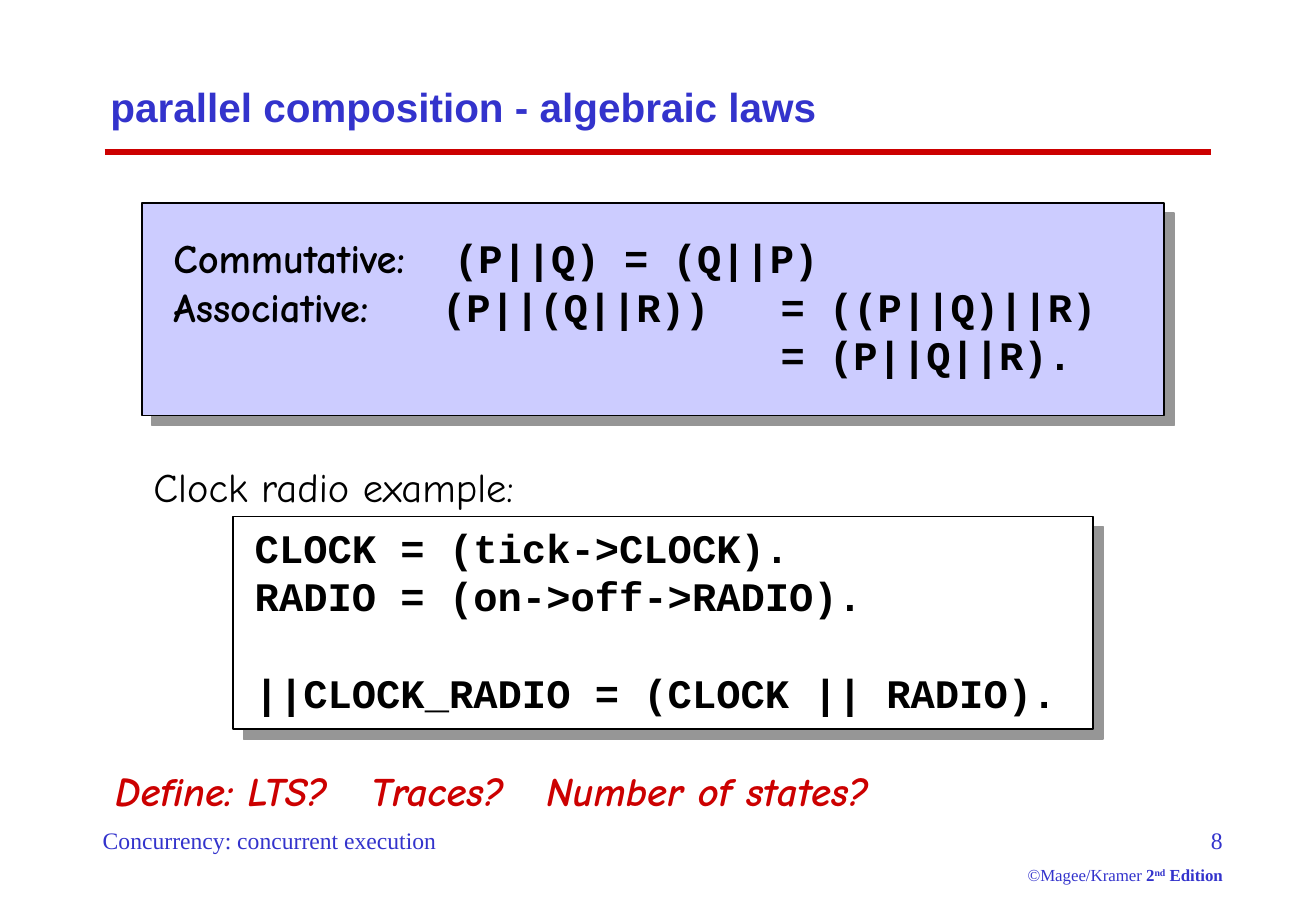
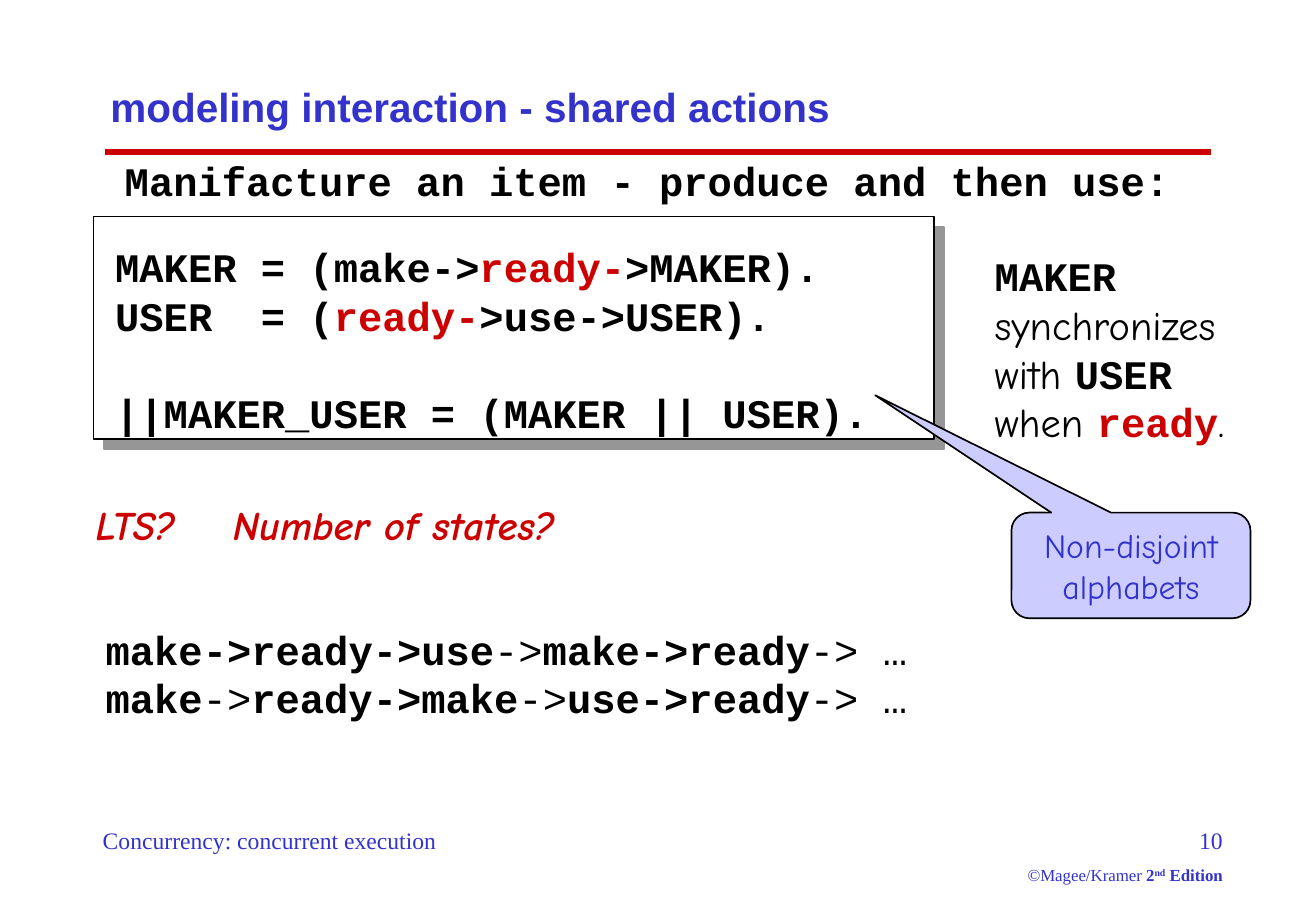
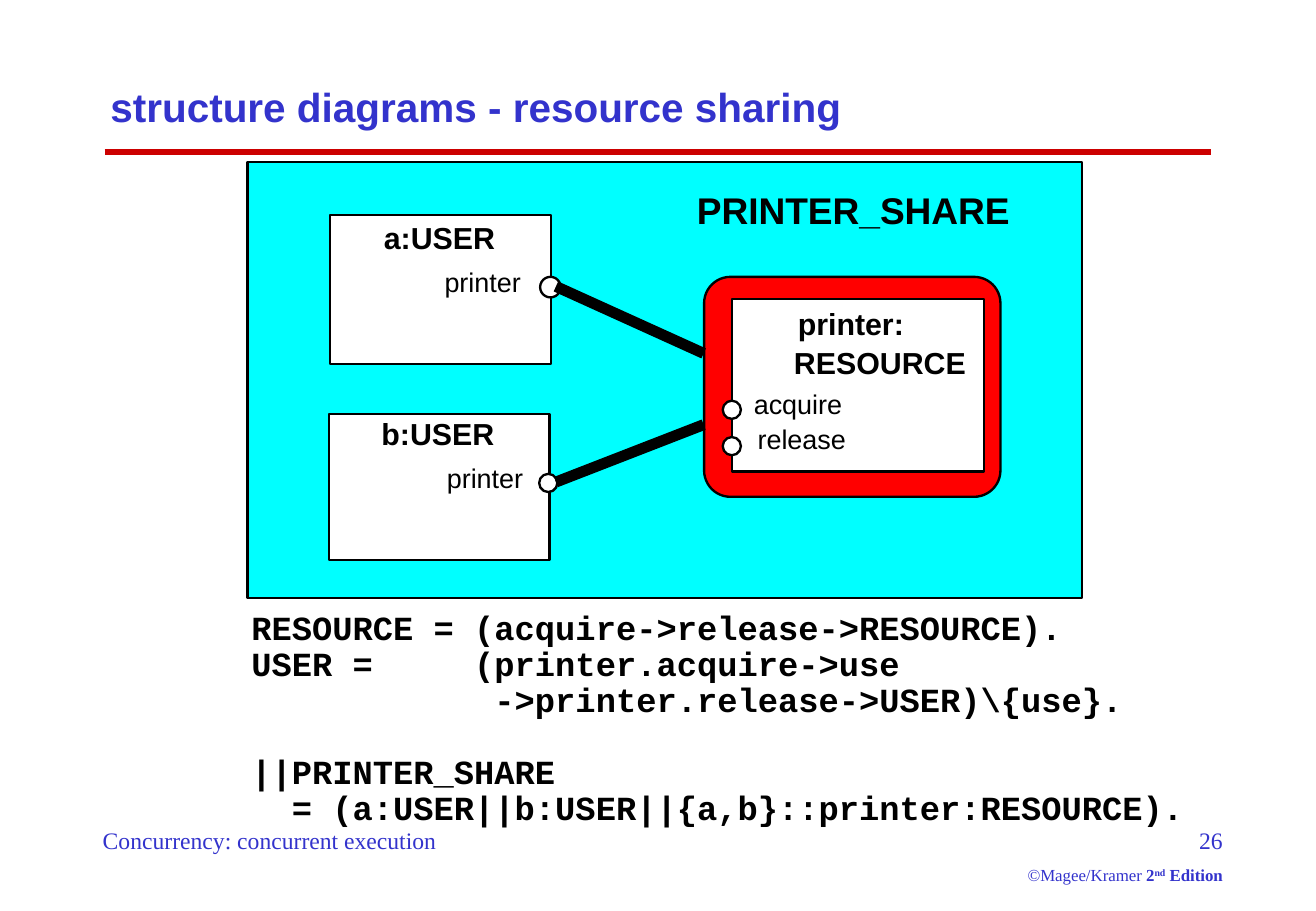
"""Build three slides on composing concurrent processes."""
from lxml import etree
from pptx import Presentation
from pptx.dml.color import RGBColor
from pptx.enum.shapes import MSO_CONNECTOR, MSO_SHAPE
from pptx.enum.text import MSO_ANCHOR, PP_ALIGN
from pptx.oxml.ns import qn
from pptx.util import Cm, Pt

RECT, OVAL = MSO_SHAPE.RECTANGLE, MSO_SHAPE.OVAL
ROUND, BUBBLE = MSO_SHAPE.ROUNDED_RECTANGLE, MSO_SHAPE.ROUNDED_RECTANGULAR_CALLOUT
STRAIGHT = MSO_CONNECTOR.STRAIGHT
TOP, MIDDLE = MSO_ANCHOR.TOP, MSO_ANCHOR.MIDDLE
CENTER, RIGHT = PP_ALIGN.CENTER, PP_ALIGN.RIGHT

COLORS = {
    "black": "000000", "white": "FFFFFF", "blue": "3333CC", "red": "CC0000",
    "lilac": "CCCCFF", "cyan": "00FFFF", "frame": "FF0000", "shade": "969696",
}
ARIAL, COMIC, MONO, TIMES = "Arial", "Comic Neue", "Courier New", "Times New Roman"


def style(name, size, color="black", bold=False, italic=False):
    """Return the format values of a run."""
    return {"name": name, "size": Pt(size), "bold": bold, "italic": italic, "color": color}


STYLES = {
    "title": style(ARIAL, 24, "blue", True),
    "foot": style(TIMES, 14, "blue"),
    "small": style(TIMES, 10, "blue"),
    "strong": style(TIMES, 10, "blue", True),
    "code": style(MONO, 24, bold=True),
    "plain": style(MONO, 24),
    "hot": style(MONO, 24, "red", True),
    "list": style(MONO, 20, bold=True),
    "body": style(COMIC, 24),
    "law": style(COMIC, 24, bold=True),
    "ask": style(COMIC, 24, "red", True, True),
    "note": style(COMIC, 20, "blue"),
    "head": style(ARIAL, 22, bold=True),
    "part": style(ARIAL, 18, bold=True),
    "port": style(ARIAL, 16),
}


def rgb(key):
    """Look up a colour."""
    return RGBColor.from_string(COLORS[key])


def line(*runs, tabs=(), **fmt):
    """Describe a paragraph made of (text, style) runs."""
    return runs, tabs, fmt


def fill_text(frame, lines, pad=(0.25, 0.13), wrap=True, anchor=TOP):
    """Write the lines into a text frame."""
    side, edge = map(Cm, pad)
    values = {
        "word_wrap": wrap, "vertical_anchor": anchor,
        "margin_left": side, "margin_right": side,
        "margin_top": edge, "margin_bottom": edge,
    }
    for key, value in values.items():
        setattr(frame, key, value)
    for index, (runs, tabs, fmt) in enumerate(lines):
        para = frame.add_paragraph() if index else frame.paragraphs[0]
        size = max(STYLES[kind]["size"].pt for _, kind, *_ in runs)
        for key, value in {"line_spacing": Pt(1.2 * size), **fmt}.items():
            setattr(para, key, value)
        if tabs:
            stops = etree.SubElement(para._p.get_or_add_pPr(), qn("a:tabLst"))
            for stop in tabs:
                etree.SubElement(stops, qn("a:tab"), pos=str(Cm(stop)), algn="l")
        for words, kind, *lift in runs:
            run = para.add_run()
            run.text = words
            for key, value in STYLES[kind].items():
                if key == "color":
                    run.font.color.rgb = rgb(value)
                else:
                    setattr(run.font, key, value)
            if lift:
                run._r.get_or_add_rPr().set("baseline", str(lift[0] * 1000))


def text(slide, box, *lines, **opts):
    """Add a text box."""
    fill_text(slide.shapes.add_textbox(*map(Cm, box)).text_frame, lines, **opts)


def label(slide, box, words, kind):
    """Add a one-line label without margins."""
    text(slide, box, line((words, kind)), pad=(0, 0), wrap=False)


def shape(slide, kind, box, fill="white", width=1.39, adjust=()):
    """Add an outlined shape."""
    item = slide.shapes.add_shape(kind, *map(Cm, box))
    item.shadow.inherit = False
    item.fill.solid()
    item.fill.fore_color.rgb = rgb(fill)
    item.line.color.rgb = rgb("black")
    item.line.width = Pt(width)
    for index, value in enumerate(adjust):
        item.adjustments[index] = value
    return item


def panel(slide, box, fill="white"):
    """Add a box with a hard offset shadow."""
    item = shape(slide, RECT, box, fill, 1)
    effects = item._element.spPr.find(qn("a:effectLst"))
    shade = etree.SubElement(
        effects, qn("a:outerShdw"), dist=str(Pt(8.5)), dir="2700000",
        algn="ctr", rotWithShape="0")
    etree.SubElement(shade, qn("a:srgbClr"), val=COLORS["shade"])


def rule(slide, ends, color, width):
    """Add a straight line."""
    item = slide.shapes.add_connector(STRAIGHT, *map(Cm, ends))
    item.line.color.rgb = rgb(color)
    item.line.width = Pt(width)
    etree.SubElement(item._element.spPr, qn("a:effectLst"))


def base(deck, title, number):
    """Add a slide with its title, rule and footer."""
    slide = deck.slides.add_slide(deck.slide_layouts[6])
    rule(slide, (2.19, 3.18, 25.33, 3.18), "red", 4)
    text(slide, (2.06, 1.27, 23.55, 1.9), line((title, "title")), anchor=MIDDLE)
    text(slide, (1.9, 17.15, 8.7, 0.86), line(("Concurrency: concurrent execution", "foot")))
    text(slide, (20.97, 17.15, 4.86, 1.5),
         line((str(number), "foot"), alignment=RIGHT),
         line(("©Magee/Kramer ", "small"), ("2", "strong"), ("nd", "strong", 30),
              (" Edition", "strong"), alignment=RIGHT, space_before=Pt(6.2)))
    return slide


def laws(deck):
    """Build the slide on algebraic laws."""
    slide = base(deck, "parallel composition - algebraic laws", 8)
    panel(slide, (2.97, 4.24, 21.38, 4.45), "lilac")
    text(slide, (3.38, 4.75, 23.06, 4.85),
         line(("Commutative:", "law"), ("\t(P||Q) = (Q||P)", "code"), tabs=(5.87,)),
         line(("Associative:", "law"), ("\t(P||(Q||R))\t= ((P||Q)||R)", "code"),
              tabs=(5.62, 12.7)),
         line(("\t= (P||Q||R).", "code"), tabs=(12.7,)))
    text(slide, (2.96, 9.53, 20.52, 1.27), line(("Clock radio example:", "body")))
    panel(slide, (4.88, 10.8, 17.98, 4.45))
    text(slide, (5.08, 10.8, 19.25, 4.32),
         line(("CLOCK = (tick->CLOCK).", "code")),
         line(("RADIO = (on->off->RADIO).", "code")),
         line(("||CLOCK_RADIO = (CLOCK || RADIO).", "code"), space_before=Pt(28.8)))
    text(slide, (2.16, 15.88, 23.67, 1.27),
         line(("Define: LTS?\tTraces?\tNumber of states?", "ask"), tabs=(5.35, 9.02)))


def shared(deck):
    """Build the slide on shared actions."""
    slide = base(deck, "modeling interaction - shared actions", 10)
    panel(slide, (1.96, 4.53, 17.58, 4.65))
    text(slide, (2.16, 4.93, 17.58, 4.32),
         line(("MAKER = (make->", "code"), ("ready-", "hot"), (">MAKER).", "code")),
         line(("USER  = (", "code"), ("ready-", "hot"), (">use->USER).", "code")),
         line(("||MAKER_USER = (MAKER || USER).", "code"), space_before=Pt(28.8)))
    text(slide, (20.56, 5.13, 5.92, 4.32),
         line(("MAKER", "code"), (" synchronizes with ", "body"), ("USER", "code"),
              (" when ", "body"), ("ready", "hot"), (".", "body")))
    text(slide, (1.75, 10.32, 18.85, 1.27),
         line(("LTS?\tNumber of states?", "ask"), tabs=(2.87,)))
    note = shape(slide, BUBBLE, (21.16, 10.72, 5, 2.21), "lilac", 1, (-1.07, -1.61, 0.17))
    fill_text(note.text_frame,
              [line(("Non-disjoint alphabets", "note"), alignment=CENTER)], anchor=MIDDLE)
    text(slide, (1.96, 12.93, 19.81, 3.3),
         line(("make->ready->use", "code"), ("->", "plain"),
              ("make->ready", "code"), ("-> …", "plain")),
         line(("make", "code"), ("->", "plain"), ("ready->make", "code"),
              ("->", "plain"), ("use->ready", "code"), ("-> …", "plain")))
    text(slide, (2.36, 3.14, 23.22, 1.27),
         line(("Manifacture an item - produce and then use:", "code")))


def sharing(deck):
    """Build the slide with the structure diagram."""
    slide = base(deck, "structure diagrams - resource sharing", 26)
    shape(slide, RECT, (5.18, 3.39, 17.45, 9.12), "cyan")
    label(slide, (14.58, 3.91, 7.2, 0.94), "PRINTER_SHARE", "head")
    shape(slide, ROUND, (14.73, 5.79, 6.2, 4.6), "frame", adjust=(0.12,))
    users = (
        ("a:USER", (6.91, 4.5, 4.62, 3.12), (8.03, 4.58), (9.3, 5.56), (11.3, 5.79, 0.43)),
        ("b:USER", (6.88, 8.66, 4.62, 3.05), (7.98, 8.69), (9.35, 9.65), (11.28, 9.91, 0.38)),
    )
    for name, box, head, port, (left, top, size) in users:
        shape(slide, RECT, box)
        shape(slide, OVAL, (left, top, size, size))
        label(slide, (*head, 2.8, 0.76), name, "part")
        label(slide, (*port, 1.8, 0.69), "printer", "port")
    shape(slide, RECT, (15.32, 6.25, 5.26, 3.61))
    label(slide, (16.69, 6.38, 2.8, 0.76), "printer:", "part")
    label(slide, (16.61, 7.19, 3.9, 0.76), "RESOURCE", "part")
    for name, left, top, dot in (("acquire", 15.77, 8.1, 8.38), ("release", 15.85, 8.84, 9.14)):
        shape(slide, OVAL, (15.12, dot, 0.38, 0.38))
        label(slide, (left, top, 2.2, 0.69), name, "port")
    for ends in ((11.63, 5.99, 14.72, 7.39), (11.63, 10.08, 14.72, 8.88)):
        rule(slide, ends, "black", 6.5)
    code = (
        "RESOURCE = (acquire->release->RESOURCE).",
        "USER =     (printer.acquire->use",
        "            ->printer.release->USER)\\{use}.",
        "||PRINTER_SHARE",
        "  = (a:USER||b:USER||{a,b}::printer:RESOURCE).",
    )
    pitch = Pt(21.4)
    rows = [line((words, "list"), line_spacing=pitch,
                 space_before=pitch if words.startswith("||") else 0) for words in code]
    text(slide, (5.26, 12.78, 21, 4.53), *rows, pad=(0, 0))


def main():
    """Build and save the deck."""
    deck = Presentation()
    deck.slide_width, deck.slide_height = Cm(27.53), Cm(19.05)
    for build in (laws, shared, sharing):
        build(deck)
    deck.save("out.pptx")


if __name__ == "__main__":
    main()
